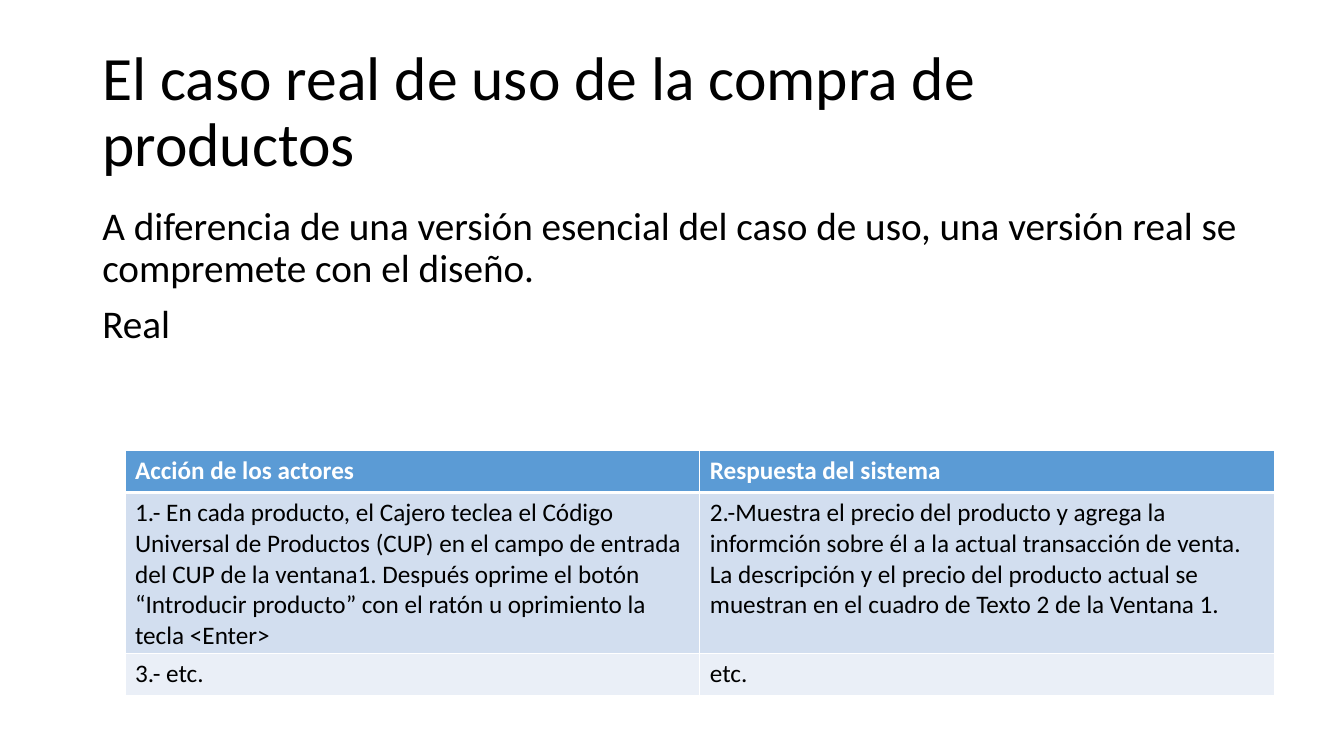
"""Builds the slide on the real use case of buying products."""
from lxml.etree import SubElement
from pptx import Presentation
from pptx.dml.color import RGBColor as Rgb
from pptx.enum.text import MSO_ANCHOR as Anchor
from pptx.oxml.ns import qn
from pptx.util import Pt

COLORS = {"text": "000000", "paper": "FFFFFF", "header": "5B9BD5",
          "odd": "D2DEEF", "even": "EAEFF7"}


class SlideBuilder:
    def __init__(self, slide, font="Calibri"):
        self.slide = slide
        self.font = font

    def run(self, paragraph, text, size, color="text", bold=False):
        run = paragraph.add_run()
        run.text = text
        run.font.name = self.font
        run.font.size = Pt(size)
        run.font.bold = bold
        run.font.color.rgb = Rgb.from_string(COLORS[color])

    def paragraphs(self, frame, texts, size, color="text", bold=False, spacing=None, before=0):
        for index, text in enumerate(texts):
            paragraph = frame.paragraphs[0] if index == 0 else frame.add_paragraph()
            paragraph.line_spacing = spacing
            paragraph.space_before = Pt(before)
            self.run(paragraph, text, size, color, bold)

    def text(self, box, texts, size, anchor=Anchor.TOP, before=0):
        frame = self.slide.shapes.add_textbox(*map(Pt, box)).text_frame
        frame.word_wrap = True
        frame.vertical_anchor = anchor
        self.paragraphs(frame, texts, size, spacing=0.9, before=before)

    def borders(self, cell, widths):
        properties = cell._tc.get_or_add_tcPr()
        for index, (side, width) in enumerate(widths.items()):
            line = properties.makeelement(qn(f"a:{side}"), {"w": str(Pt(width))})
            fill = SubElement(line, qn("a:solidFill"))
            SubElement(fill, qn("a:srgbClr"), val=COLORS["paper"])
            properties.insert(index, line)

    def table(self, box, rows, size):
        table = self.slide.shapes.add_table(len(rows), len(rows[0]), *map(Pt, box)).table
        for r, row in enumerate(rows):
            header = r == 0
            fill = "header" if header else "odd" if r % 2 else "even"
            for c, texts in enumerate(row):
                cell = table.cell(r, c)
                cell.fill.solid()
                cell.fill.fore_color.rgb = Rgb.from_string(COLORS[fill])
                self.borders(cell, {"lnL": 1, "lnR": 1, "lnT": 3 if r == 1 else 1,
                                    "lnB": 3 if header else 1})
                self.paragraphs(cell.text_frame, texts, size,
                                "paper" if header else "text", header)


def main():
    deck = Presentation()
    deck.slide_width, deck.slide_height = Pt(960), Pt(540)
    builder = SlideBuilder(deck.slides.add_slide(deck.slide_layouts[6]))

    builder.text((66, 28.75, 820, 104.4), ["El caso real de uso de la compra de productos"],
                 44, anchor=Anchor.MIDDLE)
    builder.text((66, 143.75, 828, 342.6), [
        "A diferencia de una versión esencial del caso de uso, "
        "una versión real se compremete con el diseño.",
        "Real",
    ], 28, before=10)

    use_case = [
        [["Acción de los actores"], ["Respuesta del sistema"]],
        [["1.- En cada producto, el Cajero teclea el Código Universal de Productos (CUP) "
          "en el campo de entrada del CUP de la ventana1. Después oprime el botón "
          "“Introducir producto” con el ratón u oprimiento la tecla <Enter>"],
         ["2.-Muestra el precio del producto y agrega la informción sobre él "
          "a la actual transacción de venta.",
          "La descripción y el precio del producto actual se muestran "
          "en el cuadro de Texto 2 de la Ventana 1."]],
        [["3.- etc."], ["etc."]],
    ]
    builder.table((89.3, 321.8, 821.2, 90), use_case, 18)
    deck.save("out.pptx")


if __name__ == "__main__":
    main()
